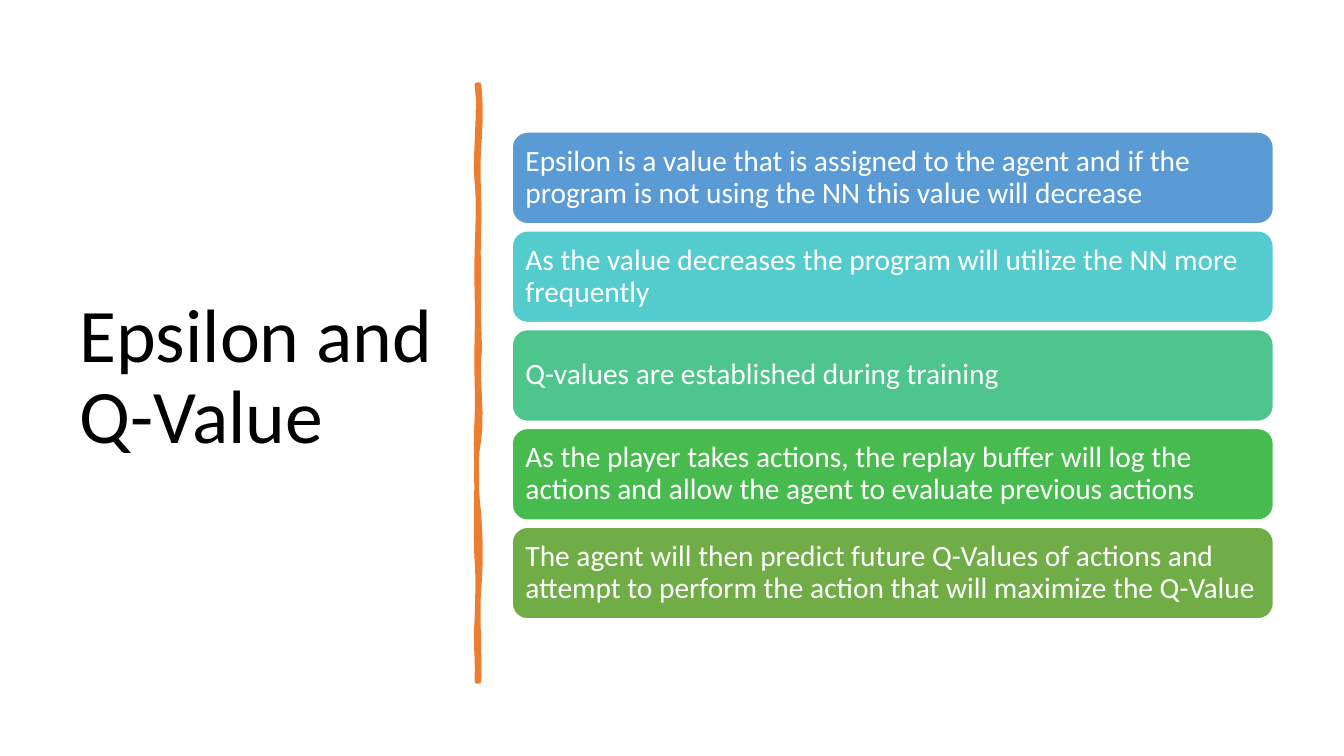
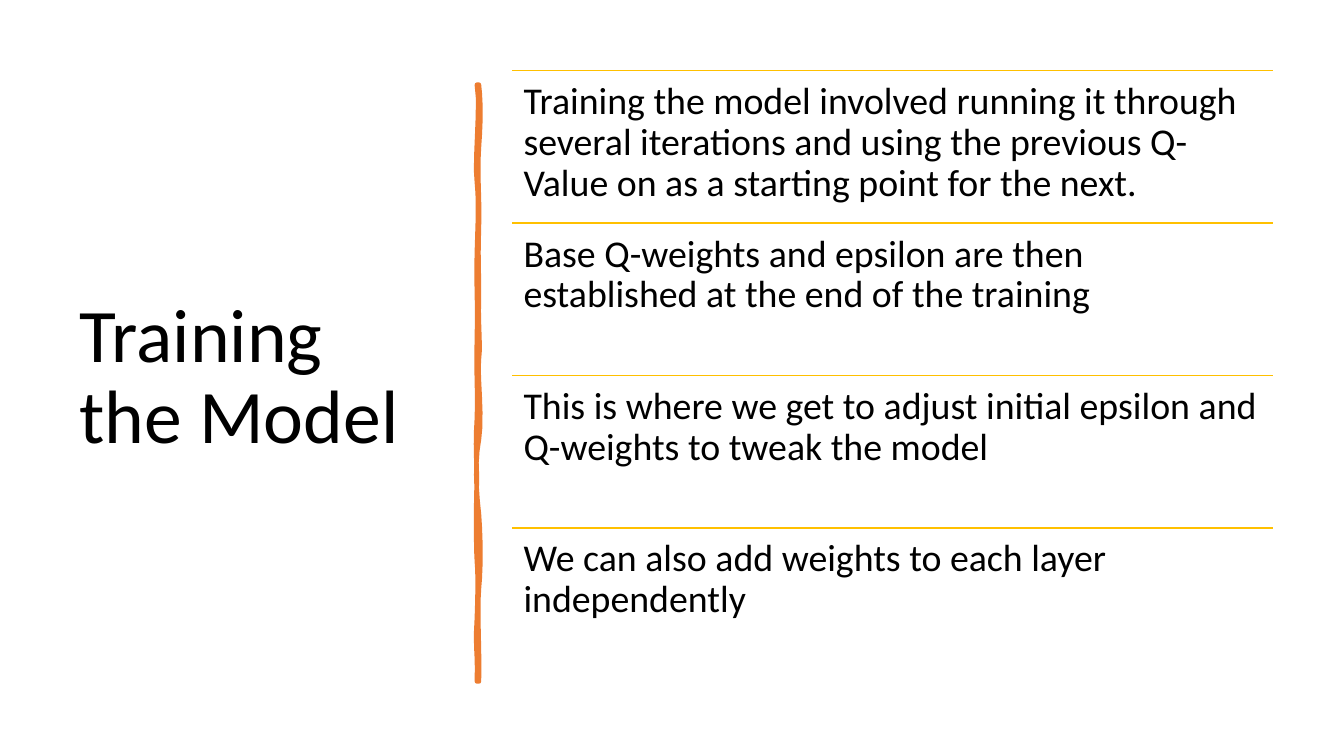
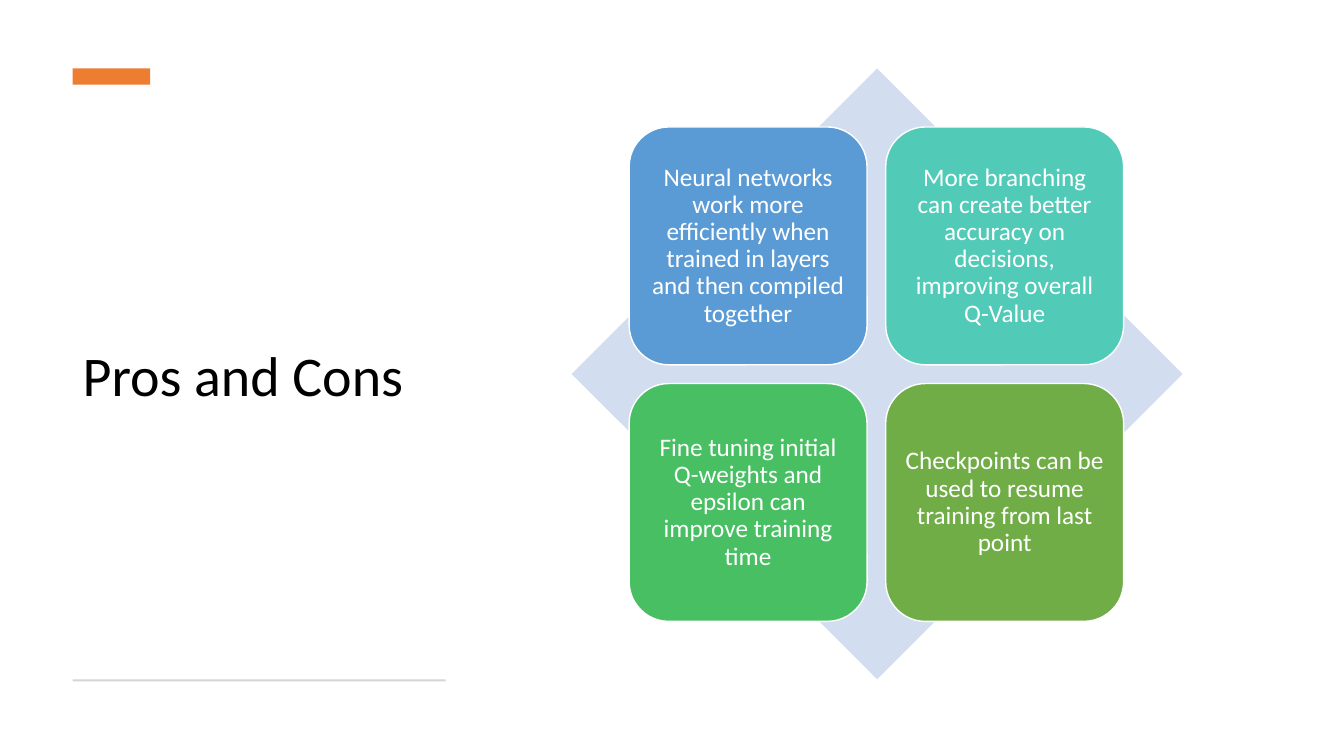
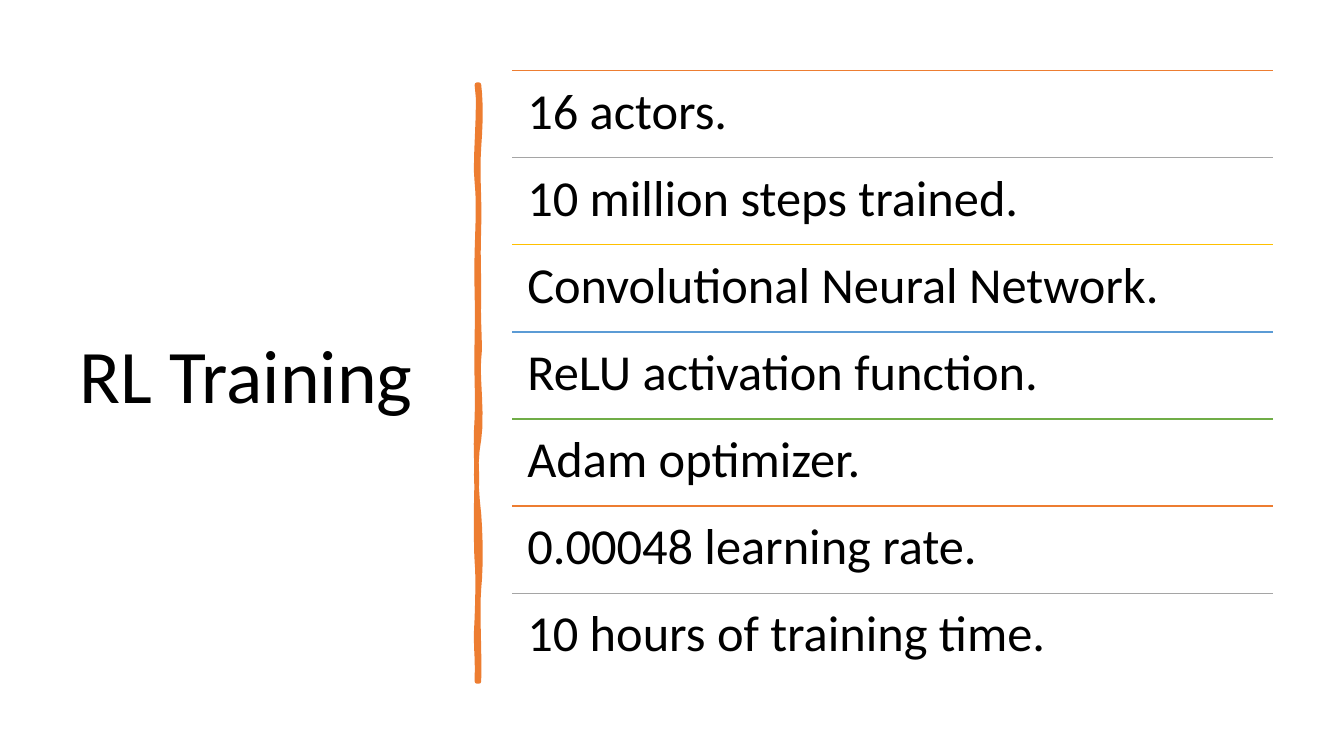
from dataclasses import dataclass

import lxml.etree
import pptx
import pptx.dml.color
import pptx.enum.shapes
import pptx.enum.text
import pptx.oxml.ns
import pptx.shapes.autoshape
import pptx.slide
import pptx.text.text
import pptx.util

Inches = pptx.util.Inches
Pt = pptx.util.Pt
Shapes = pptx.enum.shapes.MSO_SHAPE
Align = pptx.enum.text.PP_ALIGN
Anchor = pptx.enum.text.MSO_ANCHOR

FONT = "Calibri"
COLORS = {
    "black": "000000",
    "white": "FFFFFF",
    "orange": "ED7D31",
    "gray": "A5A5A5",
    "gold": "FFC000",
    "blue": "5B9BD5",
    "green": "70AD47",
    "cyan": "54CCCD",
    "jade": "4DC58D",
    "leaf": "48BB4F",
    "turquoise": "52CAB8",
    "emerald": "49BF64",
    "pale_blue": "D2DEEF",
    "pale_gray": "D5D5D5",
}

CONTENT_LEFT, CONTENT_WIDTH = 5.08, 7.55
LIST_TOP, LIST_HEIGHT = 0.7, 6.05

# Hand-drawn divider: a start point, then Bezier curves (control, control, end)
DIVIDER_START = (4.75, 0.84)
DIVIDER_CURVES = [
    ((4.77, 1.02), (4.77, 1.19), (4.75, 1.46)),
    ((4.73, 1.73), (4.76, 1.95), (4.75, 2.26)),
    ((4.74, 2.57), (4.75, 2.62), (4.75, 2.94)),
    ((4.74, 3.25), (4.77, 3.42), (4.75, 3.56)),
    ((4.73, 3.70), (4.79, 4.14), (4.75, 4.36)),
    ((4.71, 4.57), (4.72, 4.84), (4.75, 5.10)),
    ((4.77, 5.36), (4.77, 5.64), (4.75, 5.84)),
    ((4.73, 6.03), (4.76, 6.50), (4.75, 6.76)),
    ((4.74, 6.76), (4.73, 6.76), (4.73, 6.76)),
    ((4.74, 6.46), (4.71, 6.44), (4.73, 6.13)),
    ((4.74, 5.83), (4.74, 5.70), (4.73, 5.57)),
    ((4.72, 5.44), (4.72, 4.95), (4.73, 4.77)),
    ((4.73, 4.59), (4.71, 4.45), (4.73, 4.15)),
    ((4.74, 3.86), (4.72, 3.73), (4.73, 3.35)),
    ((4.74, 2.98), (4.72, 2.81), (4.73, 2.50)),
    ((4.74, 2.18), (4.75, 2.00), (4.73, 1.81)),
    ((4.70, 1.63), (4.77, 1.04), (4.73, 0.84)),
]
CURVE_STEPS = 6


@dataclass(frozen=True)
class Box:
    left: float
    top: float
    width: float
    height: float

    def lengths(self) -> list[pptx.util.Length]:
        return [Inches(side) for side in (self.left, self.top, self.width, self.height)]


@dataclass(frozen=True)
class Entry:
    """A text and the colour of its card or of the rule above it."""

    text: str
    color: str


SIDE_TITLE = Box(0.69, 0.7, 3.74, 6.11)

EPSILON_CARDS = [
    Entry("Epsilon is a value that is assigned to the agent and if the program "
          "is not using the NN this value will decrease", "blue"),
    Entry("As the value decreases the program will utilize the NN more frequently", "cyan"),
    Entry("Q-values are established during training", "jade"),
    Entry("As the player takes actions, the replay buffer will log the actions "
          "and allow the agent to evaluate previous actions", "leaf"),
    Entry("The agent will then predict future Q-Values of actions and attempt "
          "to perform the action that will maximize the Q-Value", "green"),
]
TRAINING_STEPS = [
    Entry("Training the model involved running it through several iterations "
          "and using the previous Q- Value on as a starting point for the next.", "gold"),
    Entry("Base Q-weights and epsilon are then established at the end of the training", "gold"),
    Entry("This is where we get to adjust initial epsilon and Q-weights "
          "to tweak the model", "gold"),
    Entry("We can also add weights to each layer independently", "gold"),
]
PROS_AND_CONS = [
    Entry("Neural networks work more efficiently when trained in layers "
          "and then compiled together", "blue"),
    Entry("More branching can create better accuracy on decisions, "
          "improving overall Q-Value", "turquoise"),
    Entry("Fine tuning initial Q-weights and epsilon can improve training time", "emerald"),
    Entry("Checkpoints can be used to resume training from last point", "green"),
]
RL_FACTS = [
    Entry("16 actors.", "orange"),
    Entry("10 million steps trained.", "gray"),
    Entry("Convolutional Neural Network.", "gold"),
    Entry("ReLU activation function.", "blue"),
    Entry("Adam optimizer.", "green"),
    Entry("0.00048 learning rate.", "orange"),
    Entry("10 hours of training time.", "gray"),
]


def rgb(color: str) -> pptx.dml.color.RGBColor:
    return pptx.dml.color.RGBColor.from_string(COLORS[color])


def write_text(
    frame: pptx.text.text.TextFrame,
    text: str,
    *,
    size: int,
    color: str = "black",
    align: Align = Align.LEFT,
    anchor: Anchor = Anchor.MIDDLE,
    inset: float | None = None,
) -> None:
    """Write one paragraph; the inset grows with the text size unless given."""
    frame.auto_size = pptx.enum.text.MSO_AUTO_SIZE.NONE
    frame.word_wrap = True
    frame.vertical_anchor = anchor
    margin = Inches(size / 240 if inset is None else inset)
    frame.margin_left = frame.margin_right = margin
    frame.margin_top = frame.margin_bottom = margin
    paragraph = frame.paragraphs[0]
    paragraph.text = text
    paragraph.alignment = align
    paragraph.line_spacing = 0.9
    font = paragraph.runs[0].font
    font.name = FONT
    font.size = Pt(size)
    font.color.rgb = rgb(color)


def add_titled_slide(
    deck: pptx.presentation.Presentation, title: str, box: Box, size: int
) -> pptx.slide.Slide:
    slide = deck.slides.add_slide(deck.slide_layouts[5])
    heading = slide.shapes.title
    heading.left, heading.top, heading.width, heading.height = box.lengths()
    write_text(heading.text_frame, title, size=size, inset=0.1)
    return slide


def add_block(
    slide: pptx.slide.Slide, preset: Shapes, box: Box, fill: str
) -> pptx.shapes.autoshape.Shape:
    block = slide.shapes.add_shape(preset, *box.lengths())
    block.shadow.inherit = False
    block.fill.solid()
    block.fill.fore_color.rgb = rgb(fill)
    block.line.fill.background()
    return block


def add_card(
    slide: pptx.slide.Slide, entry: Entry, box: Box, size: int, align: Align = Align.LEFT
) -> None:
    card = add_block(slide, Shapes.ROUNDED_RECTANGLE, box, entry.color)
    card.line.color.rgb = rgb("white")
    card.line.width = Pt(1)
    write_text(card.text_frame, entry.text, size=size, color="white", align=align)


def add_divider(slide: pptx.slide.Slide) -> None:
    """Draw the wavy vertical stroke beside the title."""
    points = []
    start = DIVIDER_START
    for first, second, end in DIVIDER_CURVES:
        for step in range(1, CURVE_STEPS + 1):
            t = step / CURVE_STEPS
            weights = ((1 - t) ** 3, 3 * t * (1 - t) ** 2, 3 * t**2 * (1 - t), t**3)
            corners = (start, first, second, end)
            points.append(tuple(
                Inches(sum(w * corner[axis] for w, corner in zip(weights, corners)))
                for axis in (0, 1)
            ))
        start = end
    builder = slide.shapes.build_freeform(*(Inches(value) for value in DIVIDER_START))
    builder.add_line_segments(points, close=True)
    divider = builder.convert_to_shape()
    divider.shadow.inherit = False
    divider.fill.solid()
    divider.fill.fore_color.rgb = rgb("orange")
    divider.line.color.rgb = rgb("orange")
    divider.line.width = Pt(3.25)
    outline = divider._element.spPr.find(pptx.oxml.ns.qn("a:ln"))
    lxml.etree.SubElement(outline, pptx.oxml.ns.qn("a:round"))


def add_rule(slide: pptx.slide.Slide, top: float, color: str) -> None:
    rule = slide.shapes.add_connector(
        pptx.enum.shapes.MSO_CONNECTOR.STRAIGHT,
        Inches(CONTENT_LEFT), Inches(top),
        Inches(CONTENT_LEFT + CONTENT_WIDTH), Inches(top),
    )
    rule.line.color.rgb = rgb(color)
    rule.line.width = Pt(1)
    lxml.etree.SubElement(rule._element.spPr, pptx.oxml.ns.qn("a:effectLst"))


def add_ruled_list(slide: pptx.slide.Slide, entries: list[Entry], size: int) -> None:
    """Share the list height equally, with a rule above each entry."""
    height = LIST_HEIGHT / len(entries)
    for index, entry in enumerate(entries):
        row = Box(CONTENT_LEFT, LIST_TOP + index * height, CONTENT_WIDTH, height)
        add_rule(slide, row.top, entry.color)
        label = slide.shapes.add_textbox(*row.lengths())
        write_text(label.text_frame, entry.text, size=size, anchor=Anchor.TOP)


def build_epsilon(deck: pptx.presentation.Presentation) -> None:
    slide = add_titled_slide(deck, "Epsilon and Q-Value", SIDE_TITLE, 54)
    add_divider(slide)
    for index, entry in enumerate(EPSILON_CARDS):
        box = Box(CONTENT_LEFT, 1.31 + index * 0.98, CONTENT_WIDTH, 0.91)
        add_card(slide, entry, box, 21)


def build_ruled(
    deck: pptx.presentation.Presentation, title: str, entries: list[Entry], size: int
) -> None:
    slide = add_titled_slide(deck, title, SIDE_TITLE, 54)
    add_divider(slide)
    add_ruled_list(slide, entries, size)


def build_pros_and_cons(deck: pptx.presentation.Presentation) -> None:
    slide = add_titled_slide(deck, "Pros and Cons", Box(0.72, 1.05, 3.7, 5.41), 40)
    add_block(slide, Shapes.RECTANGLE, Box(0.72, 0.68, 0.77, 0.16), "orange")
    add_block(slide, Shapes.RECTANGLE, Box(0.72, 6.74, 3.7, 0.02), "pale_gray")
    add_block(slide, Shapes.DIAMOND, Box(5.67, 0.68, 6.06, 6.06), "pale_blue")
    side, pitch = 2.36, 2.545
    for index, entry in enumerate(PROS_AND_CONS):
        row, column = divmod(index, 2)
        box = Box(6.24 + column * pitch, 1.26 + row * pitch, side, side)
        add_card(slide, entry, box, 18, Align.CENTER)


def main() -> None:
    deck = pptx.Presentation()
    deck.slide_width, deck.slide_height = Inches(13.33), Inches(7.5)
    build_epsilon(deck)
    build_ruled(deck, "Training the Model", TRAINING_STEPS, 27)
    build_pros_and_cons(deck)
    build_ruled(deck, "RL Training", RL_FACTS, 36)
    deck.save("out.pptx")


if __name__ == "__main__":
    main()
